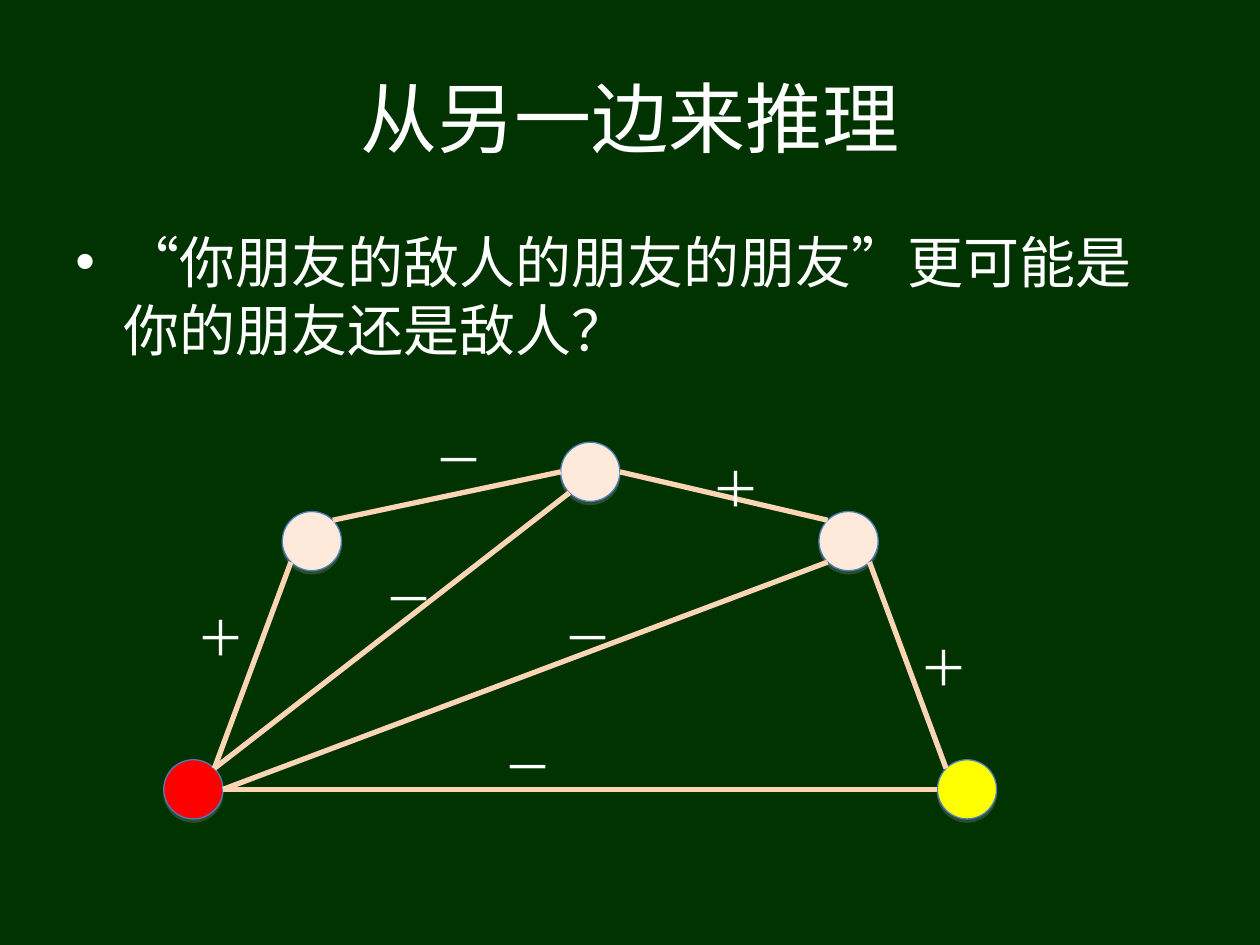
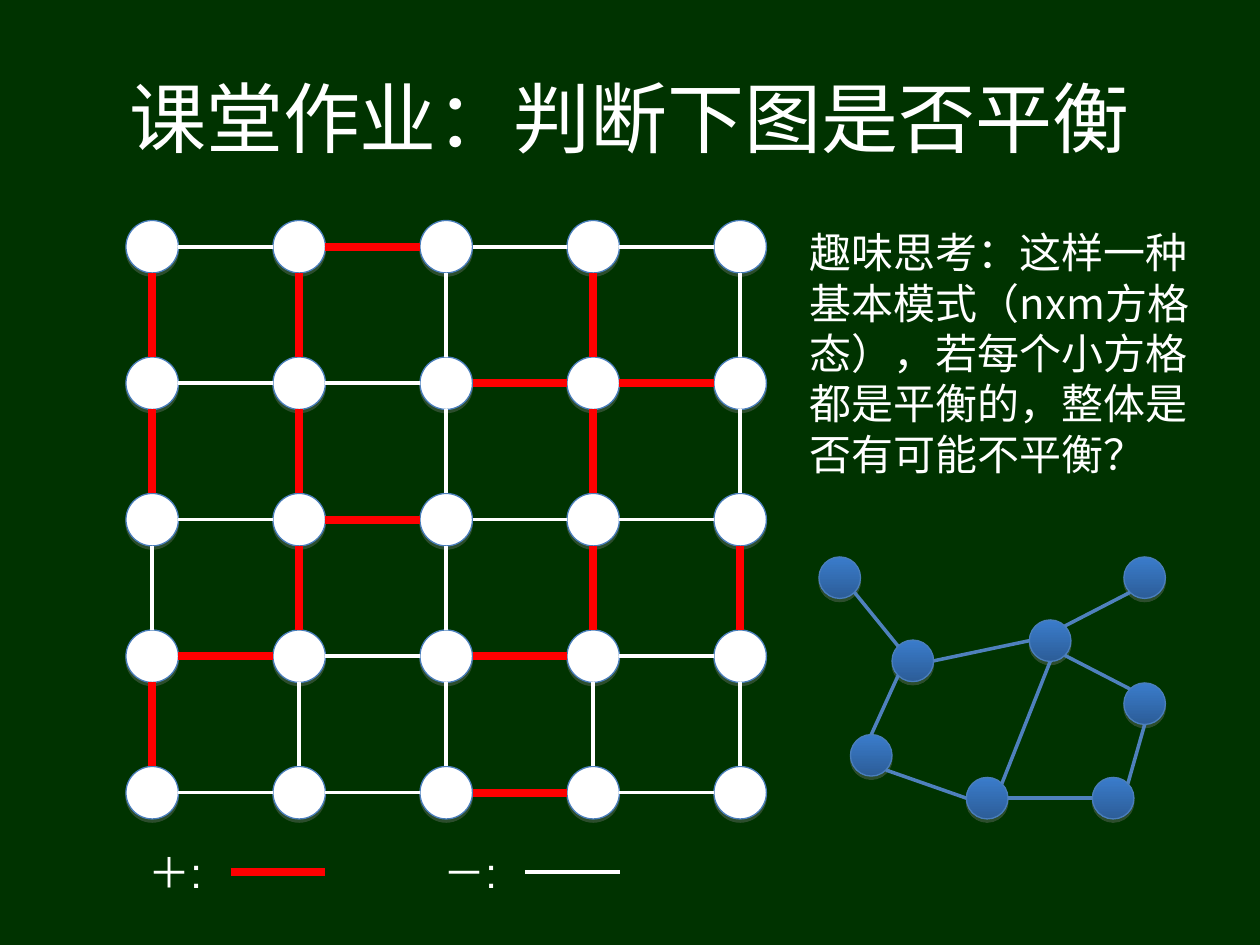
"""Build two slides on structural balance in signed graphs."""
from lxml import etree
from pptx import Presentation
from pptx import util as u
from pptx.dml.color import RGBColor
from pptx.enum import shapes, text
from pptx.oxml.ns import qn

GREEN = RGBColor(0x00, 0x33, 0x00)
WHITE = RGBColor(0xFF, 0xFF, 0xFF)
RED = RGBColor(0xFF, 0x00, 0x00)
YELLOW = RGBColor(0xFF, 0xFF, 0x00)
CREAM = RGBColor(0xFD, 0xEA, 0xDA)
PEACH = RGBColor(0xFC, 0xD5, 0xB5)
RIM = RGBColor(0x4A, 0x7E, 0xBB)
BLUE = RGBColor(0x4F, 0x81, 0xBD)
SKY = RGBColor(0x3A, 0x7C, 0xCB)
NAVY = RGBColor(0x2C, 0x5D, 0x98)
HAN, SIGN = "Noto Sans CJK SC", "Arial"

INFER = "从另一边来推理"
ASK = "“你朋友的敌人的朋友的朋友”更可能是你的朋友还是敌人？"
PEOPLE = {
    "me": (1.3, 6.03, RED),
    "pal": (2.24, 4.06, CREAM),
    "rival": (4.45, 3.51, CREAM),
    "ally": (6.5, 4.06, CREAM),
    "far": (7.44, 6.03, YELLOW),
}
TIES = [
    ("me", "NE", "pal", "SW"), ("pal", "NE", "rival", "W"),
    ("ally", "SE", "far", "NW"), ("rival", "E", "ally", "NW"),
    ("rival", "SW", "me", "NE"), ("me", "E", "ally", "SW"),
    ("me", "E", "far", "W"),
]
SIGNS = [
    ("＋", 7.2, 5.01), ("＋", 1.46, 4.77), ("－", 3.35, 3.36), ("＋", 5.55, 3.59),
    ("－", 2.95, 4.46), ("－", 4.37, 4.77), ("－", 3.9, 5.8),
]

TASK = "课堂作业：判断下图是否平衡"
THINK = "趣味思考：这样一种基本模式（nxm方格态），若每个小方格都是平衡的，整体是否有可能不平衡？"
ACROSS = ["-+--", "--++", "-+--", "+-+-", "--+-"]
DOWN = ["++-+-", "++-+-", "-+-++", "+----"]
LEGEND = [("＋:", "+", 1.08), ("－:", "-", 3.42)]
PEN = {"+": (RED, 4.5), "-": (WHITE, 2)}
NET = {
    "a": (6.5, 4.42), "b": (7.08, 5.08), "c": (8.17, 4.92), "d": (8.92, 4.42),
    "e": (6.75, 5.83), "f": (7.67, 6.17), "g": (8.67, 6.17), "h": (8.92, 5.42),
}
LINKS = [
    ("a", "SE", "b", "NW"), ("b", "E", "c", "W"), ("b", "SW", "e", "N"),
    ("e", "SE", "f", "W"), ("c", "S", "f", "NE"), ("c", "SE", "h", "NW"),
    ("d", "SW", "c", "NE"), ("f", "E", "g", "W"), ("h", "S", "g", "NE"),
]

DIAG = 0.5 ** 0.5
SITES = {
    "N": (0, -1), "S": (0, 1), "W": (-1, 0), "E": (1, 0),
    "NW": (-DIAG, -DIAG), "NE": (DIAG, -DIAG),
    "SW": (-DIAG, DIAG), "SE": (DIAG, DIAG),
}


def write(slide, words, place, size, face=HAN):
    box = slide.shapes.add_textbox(*map(u.Inches, place))
    frame = box.text_frame
    frame.word_wrap = True
    para = frame.paragraphs[0]
    run = para.add_run()
    run.text = words
    run.font.size = u.Pt(size)
    run.font.name = face
    run.font.color.rgb = WHITE
    props = run.font._element
    props.set("lang", "zh-CN")
    etree.SubElement(props, qn("a:ea")).set("typeface", face)
    return frame, para


def start(deck, title):
    slide = deck.slides.add_slide(deck.slide_layouts[6])
    frame, para = write(slide, title, (0.5, 0.3, 9, 1.25), 44)
    frame.vertical_anchor = text.MSO_ANCHOR.MIDDLE
    para.alignment = text.PP_ALIGN.CENTER
    return slide


def bullet(para):
    props = para._p.get_or_add_pPr()
    props.set("marL", str(u.Inches(0.38)))
    props.set("indent", str(-u.Inches(0.38)))
    etree.SubElement(props, qn("a:buFont")).set("typeface", SIGN)
    etree.SubElement(props, qn("a:buChar")).set("char", "•")


def dot(slide, left, top, size, fill=None):
    oval = slide.shapes.add_shape(
        shapes.MSO_SHAPE.OVAL, *map(u.Inches, (left, top, size, size)))
    if fill is None:
        oval.fill.gradient()
        oval.fill.gradient_angle = 270
        for stop, tint, spot in zip(oval.fill.gradient_stops, (SKY, NAVY), (0, 1)):
            stop.color.rgb = tint
            stop.position = spot
    else:
        oval.fill.solid()
        oval.fill.fore_color.rgb = fill
    oval.line.color.rgb = RIM
    oval.line.width = u.Pt(0.75)
    oval.shadow.inherit = False
    glow = etree.SubElement(
        oval._element.spPr.find(qn("a:effectLst")), qn("a:outerShdw"),
        blurRad="0", dist=str(u.Pt(1.8)), dir="5400000", rotWithShape="0")
    shade = etree.SubElement(glow, qn("a:srgbClr"), val="808080")
    etree.SubElement(shade, qn("a:alpha"), val="35000")


def line(slide, head, tail, tint, width):
    edge = slide.shapes.add_connector(
        shapes.MSO_CONNECTOR.STRAIGHT, *map(u.Inches, (*head, *tail)))
    edge.line.color.rgb = tint
    edge.line.width = u.Pt(width)
    etree.SubElement(edge._element.spPr, qn("a:effectLst"))


def site(node, size, side):
    return tuple(at + size / 2 * (1 + way) for at, way in zip(node, SITES[side]))


def join(slide, nodes, size, edges, tint, width):
    for one, out, two, into in edges:
        line(slide, site(nodes[one], size, out), site(nodes[two], size, into),
             tint, width)


def infer(deck):
    slide = start(deck, INFER)
    frame, para = write(slide, ASK, (0.5, 1.75, 9, 1.45), 32)
    bullet(para)
    para.line_spacing = u.Pt(38.8)
    size = 0.47
    for left, top, fill in PEOPLE.values():
        dot(slide, left, top, size, fill)
    join(slide, PEOPLE, size, TIES, PEACH, 3)
    for mark, left, top in SIGNS:
        write(slide, mark, (left, top, 0.55, 0.57), 28, SIGN)


def grid(slide):
    size = 5 / 12
    spots = [[(1 + col * 7 / 6, 1.75 + row * 13 / 12) for col in range(5)]
             for row in range(5)]
    for row in spots:
        for left, top in row:
            dot(slide, left, top, size, WHITE)
    for marks, dx, dy, out, into in ((ACROSS, 1, 0, "E", "W"), (DOWN, 0, 1, "S", "N")):
        for row, signs in enumerate(marks):
            for col, sign in enumerate(signs):
                line(slide, site(spots[row][col], size, out),
                     site(spots[row + dy][col + dx], size, into), *PEN[sign])


def task(deck):
    slide = start(deck, TASK)
    grid(slide)
    for words, sign, left in LEGEND:
        write(slide, words, (left, 6.67, 0.75, 0.5), 24, SIGN)
        line(slide, (left + 0.75, 6.92), (left + 1.5, 6.92), *PEN[sign])
    frame, para = write(slide, THINK, (6.33, 1.75, 3.25, 2.1), 24)
    para.line_spacing = u.Pt(28.8)
    size = 0.33
    for left, top in NET.values():
        dot(slide, left, top, size)
    join(slide, NET, size, LINKS, BLUE, 2)


def main():
    deck = Presentation()
    deck.slide_width, deck.slide_height = u.Inches(10), u.Inches(7.5)
    back = deck.slide_master.background.fill
    back.solid()
    back.fore_color.rgb = GREEN
    infer(deck)
    task(deck)
    deck.save("out.pptx")


if __name__ == "__main__":
    main()
